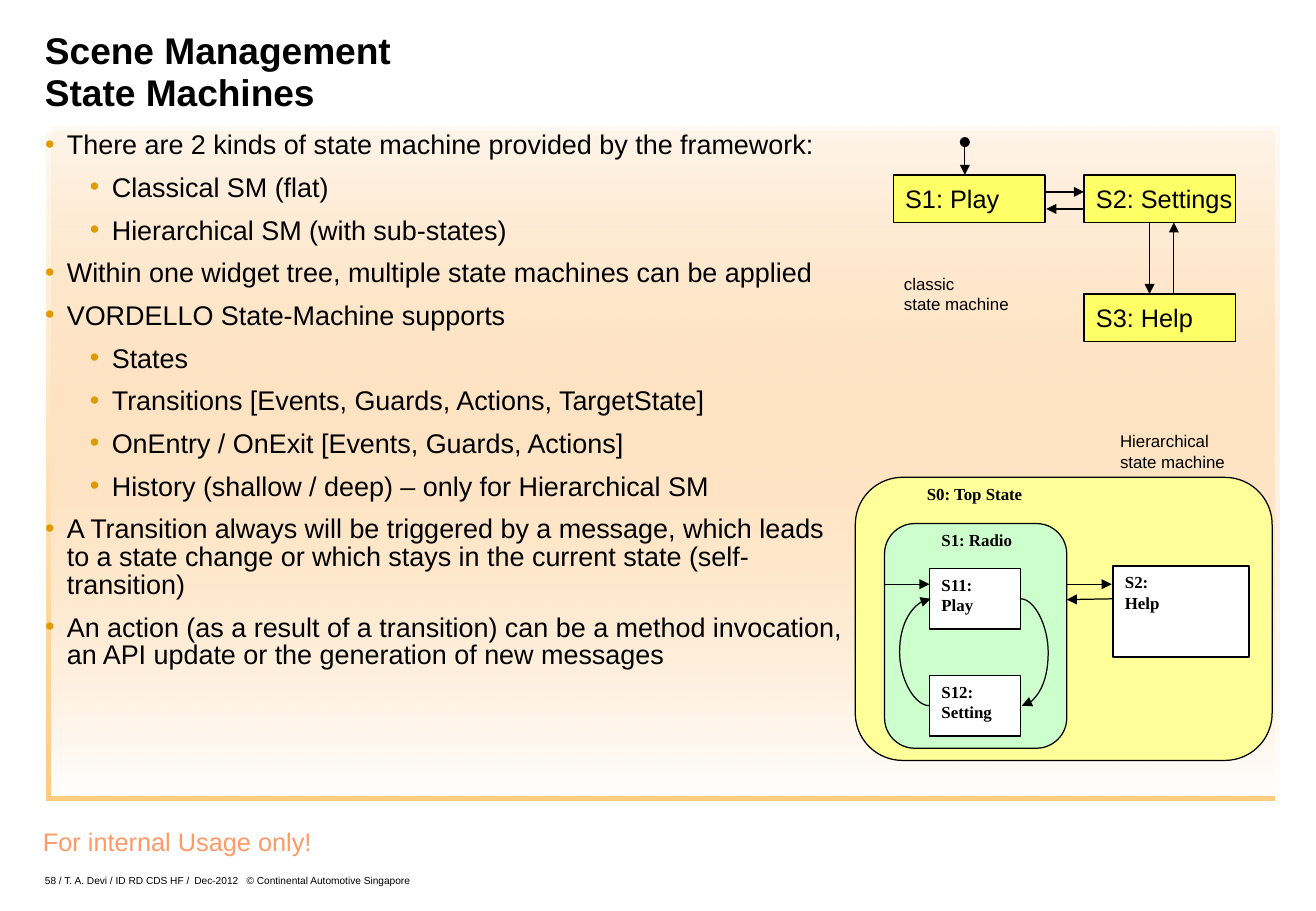
from pptx import Presentation
from pptx.dml.color import RGBColor as Rgb
from pptx.enum.shapes import MSO_CONNECTOR as Conn, MSO_SHAPE as Kind
from pptx.enum.text import MSO_ANCHOR as Anchor, PP_ALIGN as Align
from pptx.oxml import parse_xml
from pptx.oxml.ns import nsdecls, qn
from pptx.util import Inches, Pt

WIDE, HIGH = 10.83, 7.5
PAGE = (0, 0, WIDE, HIGH)
HUES = {"ink": "000000", "paper": "FFFFFF", "peach": "FFCC99", "orange": "FF9900",
        "coral": "FF9966", "bullet": "E19900", "lemon": "FFFF66", "cream": "FFFF99",
        "mint": "CCFFCC"}
BARE = {"margin_left": 0, "margin_right": 0, "margin_top": 0, "margin_bottom": 0}
SERIF = {"name": "Times New Roman", "size": Pt(10), "bold": True}


def sans(size, bold=False):
    """Return the Arial font values for a size."""
    return {"name": "Arial", "size": Pt(size), "bold": bold}


def tag(code):
    """Build a drawing element from its short form."""
    name, rest = code.split(" ", 1)
    return parse_xml(f"<a:{name} {nsdecls('a')} {rest}")


def part(box, x, y, w, h):
    """Return the area that lies at percent shares of a box."""
    left, top, wide, high = box
    return (left + wide * x / 100, top + high * y / 100, wide * w / 100, high * h / 100)


def put(item, values):
    """Set the attributes of an item from a dict."""
    for key, value in values.items():
        setattr(item, key, value)


def write(shape, lines, font, hue="ink", frame={}, para={}, marks=()):
    """Write one paragraph per line into a shape."""
    body = shape.text_frame
    put(body, {"vertical_anchor": Anchor.TOP, "word_wrap": True} | frame)
    for spot, line in enumerate(lines):
        row = body.add_paragraph() if spot else body.paragraphs[0]
        props = row._p.get_or_add_pPr()
        for mark in marks:
            props.append(tag(mark))
        put(row, {"alignment": Align.LEFT} | para)
        row.text = line
        for run in row.runs:
            put(run.font, font)
            run.font.color.rgb = Rgb.from_string(HUES[hue])
    return body.paragraphs


def label(slide, box, lines, font, **more):
    """Add a text box."""
    area = slide.shapes.add_textbox(*map(Inches, box))
    return write(area, lines, font, **more)


def block(slide, box, hue, kind=Kind.RECTANGLE):
    """Add an outlined shape."""
    shape = slide.shapes.add_shape(kind, *map(Inches, box))
    shape.shadow.inherit = False
    shape.fill.solid()
    shape.fill.fore_color.rgb = Rgb.from_string(HUES[hue])
    shape.line.color.rgb = Rgb.from_string(HUES["ink"])
    shape.line.width = Pt(0.75)
    return shape


def arrow(slide, box, ends, head=None, bend=None):
    """Add an arrow between two points given as shares of a box."""
    start, stop = (part(box, *ends[i:i + 2], 0, 0)[:2] for i in (0, 2))
    kind = Conn.STRAIGHT if bend is None else Conn.CURVE
    link = slide.shapes.add_connector(kind, *map(Inches, start + stop))
    link.line.color.rgb = Rgb.from_string(HUES["ink"])
    link.line.width = Pt(0.75)
    line = link.line._ln
    if head:
        line.append(tag(f'headEnd type="{head}"/>'))
    line.append(tag('tailEnd type="triangle"/>'))
    link._element.spPr.append(tag("effectLst />"))
    if bend is not None:
        shape = link._element.spPr.find(qn("a:prstGeom"))
        shape.get_or_add_avLst().append(tag(f'gd name="adj1" fmla="val {bend * 100000}"/>'))


def panel(slide, box):
    """Draw the fading backdrop with its orange shadow."""
    shape = slide.shapes.add_shape(Kind.RECTANGLE, *map(Inches, box))
    shape.line.fill.background()
    shape.fill.gradient()
    shape.fill.gradient_angle = 270
    for stop, hue in zip(shape.fill.gradient_stops, ("peach", "paper")):
        stop.color.rgb = Rgb.from_string(HUES[hue])
    props = shape._element.spPr
    props.find(".//" + qn("a:srgbClr")).append(tag('alpha val="10000"/>'))
    shape.shadow.inherit = False
    props.find(qn("a:effectLst")).append(tag(
        f'outerShdw blurRad="0" dist="{Pt(4.2)}" dir="8100000" algn="ctr" rotWithShape="0">'
        f'<a:srgbClr val="{HUES["orange"]}"><a:alpha val="50000"/></a:srgbClr></a:outerShdw>'))


def points(slide, box):
    """Write the two-level bullet list."""
    rows = [
        (0, "There are 2 kinds of state machine provided by the framework:"),
        (1, "Classical SM (flat)"),
        (1, "Hierarchical SM (with sub-states)"),
        (0, "Within one widget tree, multiple state machines can be applied"),
        (0, "VORDELLO State-Machine supports"),
        (1, "States"),
        (1, "Transitions [Events, Guards, Actions, TargetState]"),
        (1, "OnEntry / OnExit [Events, Guards, Actions]"),
        (1, "History (shallow / deep) – only for Hierarchical SM"),
        (0, "A Transition always will be triggered by a message, which leads to a state "
            "change or which stays in the current state (self-transition)"),
        (0, "An action (as a result of a transition) can be a method invocation, an API "
            "update or the generation of new messages"),
    ]
    marks = (f'buClr ><a:srgbClr val="{HUES["bullet"]}"/></a:buClr>',
             'buFont typeface="Arial"/>', 'buChar char="•"/>')
    paras = label(slide, box, [line for _, line in rows], sans(16), frame=BARE, marks=marks,
                  para={"line_spacing": Pt(16.5), "space_after": Pt(8.8)})
    for (level, _), row in zip(rows, paras):
        row.level = level
        props = row._p.get_or_add_pPr()
        props.set("marL", str(Inches(0.18 + 0.37 * level)))
        props.set("indent", str(Inches(-0.18)))


def classic(slide, box):
    """Draw the flat state machine."""
    wide, high = 44.33, 23.78
    far, mid, low = 100 - wide, 16.46, 100 - high
    for x, y, name in ((0, mid, "S1: Play"), (far, mid, "S2: Settings"), (far, low, "S3: Help")):
        state = block(slide, part(box, x, y, wide, high), "lemon", Kind.FLOWCHART_PROCESS)
        write(state, [name], sans(15),
              frame={"vertical_anchor": Anchor.MIDDLE, "word_wrap": False})
    arrow(slide, box, (20.92, 0, 20.92, mid), head="oval")
    for ends in ((wide, 25, far, 25), (far, 33.54, wide + 0.35, 33.54),
                 (74.82, mid + high, 74.82, low), (81.91, low, 81.91, mid + high)):
        arrow(slide, box, ends)
    label(slide, part(box, -0.35, 62.8, 37.59, 26.22), ["classic", "state machine"], sans(10),
          frame={"word_wrap": False})


def nested(slide, box):
    """Draw the state machine with sub-states."""
    block(slide, box, "cream", Kind.ROUNDED_RECTANGLE)
    block(slide, part(box, 7, 16.31, 43.73, 79.4), "mint", Kind.ROUNDED_RECTANGLE)
    for x, y, w, h, lines in ((17.78, 32.19, 21.87, 21.46, ["S11:", "Play"]),
                              (17.78, 69.96, 21.87, 21.46, ["S12:", "Setting"]),
                              (61.81, 31.33, 32.65, 32.19, ["S2:", "Help"])):
        write(block(slide, part(box, x, y, w, h), "paper"), lines, SERIF)
    label(slide, part(box, 14.29, 0, 32.65, 16.31), ["S0: Top State"], SERIF)
    label(slide, part(box, 17.78, 16.31, 25.66, 16.31), ["S1: Radio"], SERIF)
    for ends in ((50.73, 37.77, 61.52, 37.77), (61.52, 42.92, 50.73, 43.2),
                 (7, 37.77, 17.78, 37.77)):
        arrow(slide, box, ends)
    arrow(slide, box, (17.78, 80.69, 18.07, 42.92), bend=-25)
    arrow(slide, box, (39.65, 42.92, 39.94, 80.69), bend=23)
    label(slide, part(box, 60.64, -18.45, 30.9, 18.45), ["Hierarchical", "state machine"],
          sans(10), frame={"word_wrap": False})


def footer(slide, box):
    """Write the usage note and the source line."""
    label(slide, part(box, 0, 0, 70.55, 64.81), ["For internal Usage only!"], sans(15),
          hue="coral", frame={"word_wrap": False}, para={"alignment": Align.CENTER})
    stops = "".join(f'<a:tab pos="{Inches(x)}" algn="l"/>' for x in (1.23, 1.66))
    label(slide, part(box, 3.5, 72.22, 100, 29.63),
          ["58 / T. A. Devi / ID RD CDS HF /\tDec-2012\t© Continental Automotive Singapore"],
          sans(6), frame=BARE | {"vertical_anchor": Anchor.BOTTOM},
          para={"line_spacing": Pt(5.5)}, marks=[f"tabLst >{stops}</a:tabLst>"])


def main():
    """Build and save the slide."""
    deck = Presentation()
    put(deck, {"slide_width": Inches(WIDE), "slide_height": Inches(HIGH)})
    slide = deck.slides.add_slide(deck.slide_layouts[6])
    panel(slide, part(PAGE, 3.88, 13.87, 93.35, 73.47))
    label(slide, part(PAGE, 3.42, 3.33, 93.26, 9.2), ["Scene Management\nState Machines"],
          sans(22, True), frame=BARE | {"vertical_anchor": Anchor.BOTTOM},
          para={"line_spacing": Pt(24.8)})
    points(slide, part(PAGE, 3.42, 14.53, 61.22, 70.4))
    classic(slide, part(PAGE, 67.87, 15.6, 26.04, 21.87))
    nested(slide, part(PAGE, 65, 52.4, 31.67, 31.07))
    footer(slide, part(PAGE, 2.31, 90, 31.67, 7.2))
    deck.save("out.pptx")


if __name__ == "__main__":
    main()
